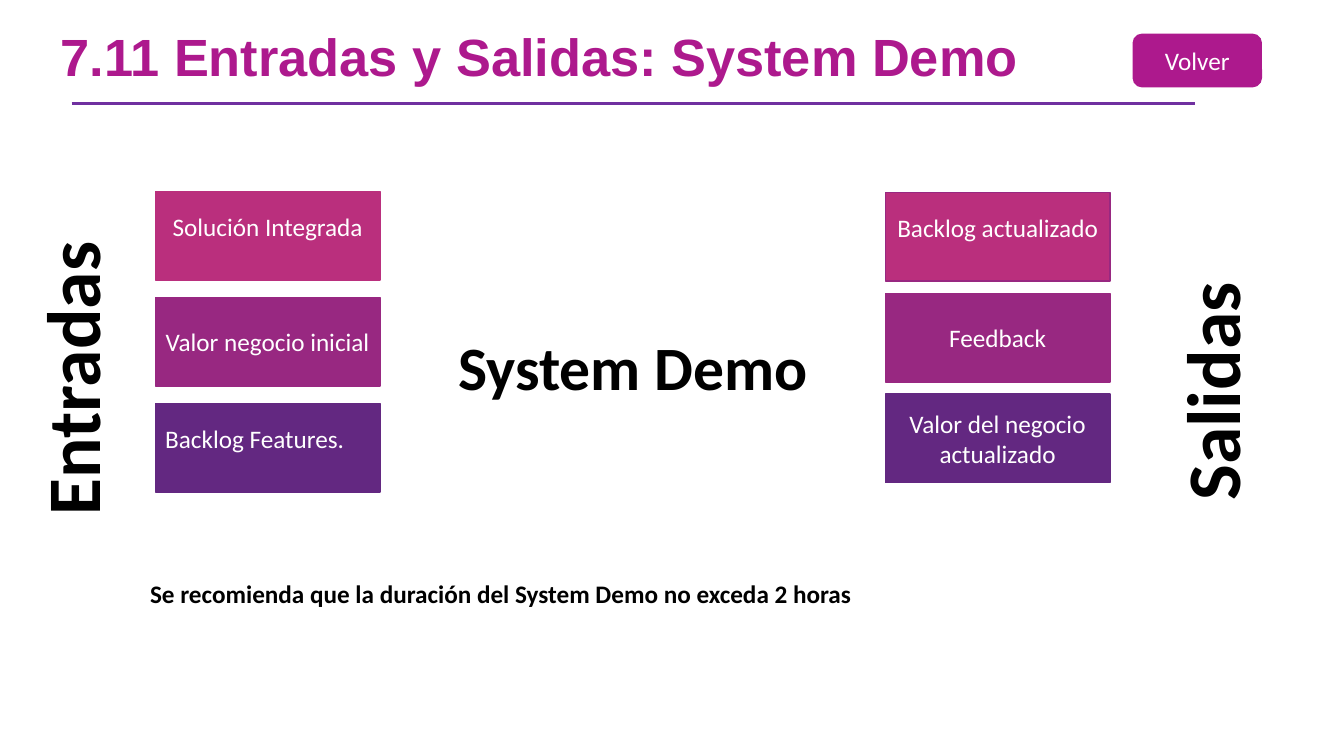
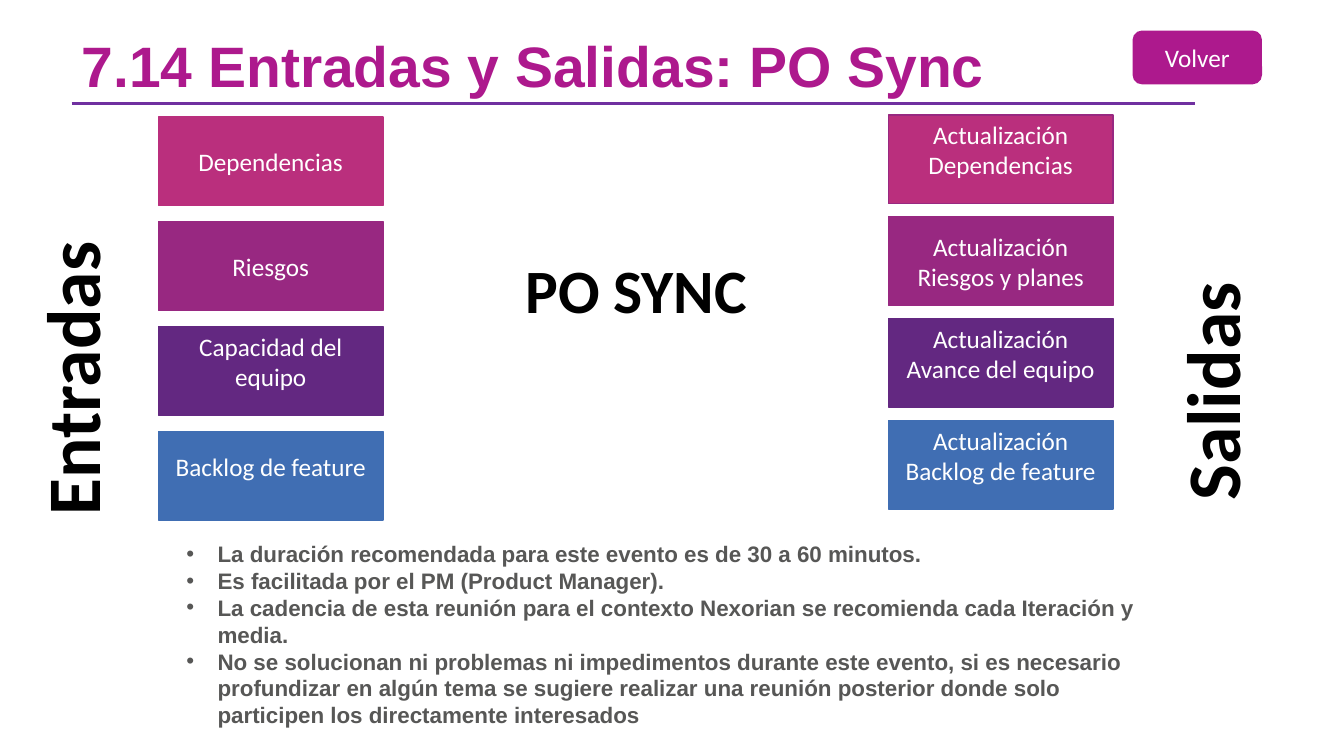
import pptx
import pptx.util
import pptx.dml.color
import pptx.enum.shapes
import pptx.enum.text
import pptx.oxml.ns
from lxml import etree

Inches = pptx.util.Inches
Pt = pptx.util.Pt
RGB = pptx.dml.color.RGBColor
ALIGN = pptx.enum.text.PP_ALIGN
ANCHOR = pptx.enum.text.MSO_ANCHOR
SHAPE = pptx.enum.shapes.MSO_SHAPE
qn = pptx.oxml.ns.qn

MAGENTA = RGB(0xAD, 0x19, 0x8D)
VIOLET = RGB(0x70, 0x30, 0xA0)
PINK = RGB(0xBA, 0x2F, 0x7D)
PLUM = RGB(0x98, 0x28, 0x81)
PURPLE = RGB(0x63, 0x28, 0x81)
BLUE = RGB(0x40, 0x6E, 0xB3)
GREY = RGB(0x57, 0x57, 0x56)
BLACK = RGB(0, 0, 0)
WHITE = RGB(255, 255, 255)

BOX_COLOURS = [PINK, PLUM, PURPLE, BLUE]
BOX_W, BOX_H = 2.23, 0.88
MIDDLE, RAISED, RAISED_LEFT = "middle", "raised", "raised left"

SIDE_LABELS = [
    ("Entradas", (-0.77, 3.25, 2.94, 1.01)),
    ("Salidas", (10.81, 3.38, 2.39, 1.01)),
]

SLIDES = [
    {
        "title": ("7.11 Entradas y Salidas: System Demo", 0.5, 0.3, 37.4, 0.8),
        "button_top": 0.34,
        "event": ("System Demo", (4.43, 3.21, 3.7, 0.84)),
        "inputs": (1.54, 1.9, 1.05, [
            ("Solución Integrada", RAISED),
            ("Valor negocio inicial", MIDDLE),
            ("Backlog Features.", RAISED_LEFT),
        ]),
        "outputs": (8.78, 1.91, 1.0, [
            ("Backlog actualizado", RAISED),
            ("Feedback", MIDDLE),
            ("Valor del negocio actualizado", MIDDLE),
        ]),
        "note": "Se recomienda que la duración del System Demo no exceda 2 horas",
    },
    {
        "title": ("7.14 Entradas y Salidas: PO Sync", 0.71, 0.42, 40.7, 0.7),
        "button_top": 0.31,
        "event": ("PO SYNC", (5.1, 2.45, 2.42, 0.84)),
        "inputs": (1.57, 1.16, 1.04, [
            ("Dependencias", MIDDLE),
            ("Riesgos", MIDDLE),
            ("Capacidad del equipo", RAISED),
            ("Backlog de feature", RAISED),
        ]),
        "outputs": (8.81, 1.14, 1.01, [
            ("Actualización Dependencias", RAISED),
            ("Actualización Riesgos y planes", MIDDLE),
            ("Actualización Avance del equipo", RAISED),
            ("Actualización Backlog de feature", RAISED),
        ]),
        "bullets": [
            "La duración recomendada para este evento es de 30 a 60 minutos.",
            "Es facilitada por el PM (Product Manager).",
            "La cadencia de esta reunión para el contexto Nexorian se recomienda "
            "cada Iteración y media.",
            "No se solucionan ni problemas ni impedimentos durante este evento, "
            "si es necesario profundizar en algún tema se sugiere realizar una "
            "reunión posterior donde solo participen los directamente interesados",
        ],
    },
]


def style(p, size, colour, bold=False, name="Calibri", align=ALIGN.LEFT):
    p.alignment = align
    for r in p.runs:
        r.font.size = Pt(size)
        r.font.bold = bold
        r.font.name = name
        r.font.color.rgb = colour


def add_title(s, text, left, top, size, spacing):
    sp = s.shapes.title
    sp.left, sp.top = Inches(left), Inches(top)
    sp.width, sp.height = Inches(10.33), Inches(0.61)
    tf = sp.text_frame
    tf.text = text
    tf.auto_size = pptx.enum.text.MSO_AUTO_SIZE.NONE
    tf.vertical_anchor = ANCHOR.MIDDLE
    p = tf.paragraphs[0]
    p.line_spacing = spacing
    style(p, size, MAGENTA, True, "Arial")


def add_rule(s):
    line = s.shapes.add_connector(
        pptx.enum.shapes.MSO_CONNECTOR.STRAIGHT,
        Inches(0.71), Inches(1.03), Inches(11.85), Inches(1.03))
    line.line.color.rgb = VIOLET
    line.line.width = Pt(2.25)
    etree.SubElement(line._element.spPr, qn("a:effectLst"))


def add_box(s, kind, text, place, fill, border, align=ALIGN.CENTER):
    sp = s.shapes.add_shape(kind, *map(Inches, place))
    sp.shadow.inherit = False
    sp.fill.solid()
    sp.fill.fore_color.rgb = fill
    sp.line.color.rgb = border
    sp.line.width = Pt(1)
    tf = sp.text_frame
    tf.text = text
    tf.word_wrap = True
    tf.vertical_anchor = ANCHOR.MIDDLE
    style(tf.paragraphs[0], 18, WHITE, align=align)
    return sp


def add_column(s, column, first_border):
    left, top, pitch, items = column
    for i, ((text, position), fill) in enumerate(zip(items, BOX_COLOURS)):
        sp = add_box(s, SHAPE.RECTANGLE, text,
                     (left, top + i * pitch, BOX_W, BOX_H),
                     fill, fill if i else first_border,
                     ALIGN.LEFT if position == RAISED_LEFT else ALIGN.CENTER)
        if position != MIDDLE:
            sp.text_frame.margin_bottom = Inches(0.24)


def add_label(s, text, place, size, align=ALIGN.CENTER, rotation=0):
    sp = s.shapes.add_textbox(*map(Inches, place))
    sp.rotation = rotation
    tf = sp.text_frame
    tf.word_wrap = False
    tf.text = text
    style(tf.paragraphs[0], size, BLACK, True, align=align)


def add_bullets(s, items):
    sp = s.shapes.add_textbox(Inches(1.75), Inches(5.31), Inches(9.97), Inches(1.99))
    tf = sp.text_frame
    tf.word_wrap = True
    tf.text = "\n".join(items)
    for p in tf.paragraphs:
        pPr = p._p.get_or_add_pPr()
        pPr.set("marL", str(Inches(0.31)))
        pPr.set("indent", str(-Inches(0.31)))
        etree.SubElement(pPr, qn("a:buFont")).set("typeface", "Arial")
        etree.SubElement(pPr, qn("a:buChar")).set("char", "•")
        style(p, 16, GREY, True, "Arial")


def build_slide(prs, content):
    s = prs.slides.add_slide(prs.slide_layouts[5])
    add_rule(s)
    add_title(s, *content["title"])
    add_column(s, content["inputs"], PINK)
    add_column(s, content["outputs"], PLUM)
    add_label(s, *content["event"], 44)
    for text, place in SIDE_LABELS:
        add_label(s, text, place, 54, rotation=270)
    if "note" in content:
        add_label(s, content["note"], (1.39, 5.69, 7.21, 0.4), 18, ALIGN.LEFT)
    if "bullets" in content:
        add_bullets(s, content["bullets"])
    add_box(s, SHAPE.ROUNDED_RECTANGLE, "Volver",
            (11.24, content["button_top"], 1.27, 0.52), MAGENTA, MAGENTA)


def main():
    prs = pptx.Presentation()
    prs.slide_width, prs.slide_height = Inches(13.33), Inches(7.5)
    for content in SLIDES:
        build_slide(prs, content)
    prs.save("out.pptx")


if __name__ == "__main__":
    main()
